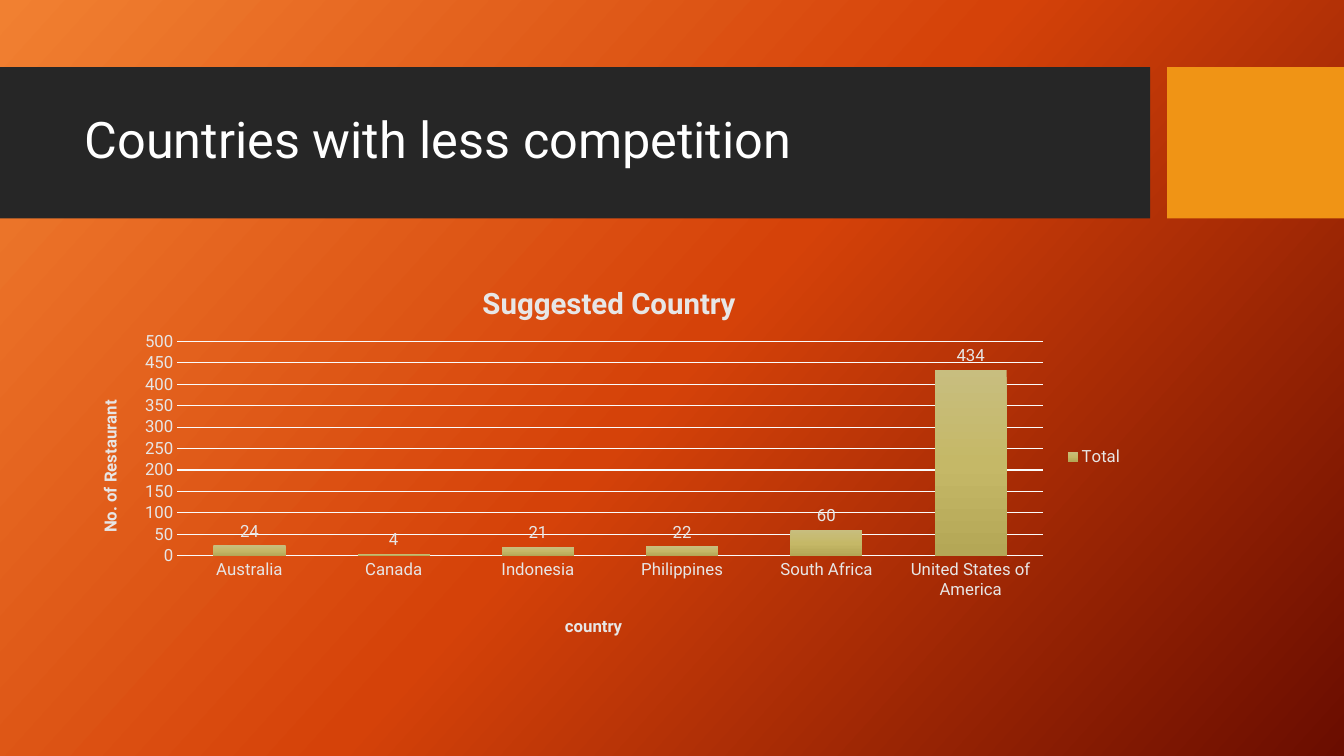
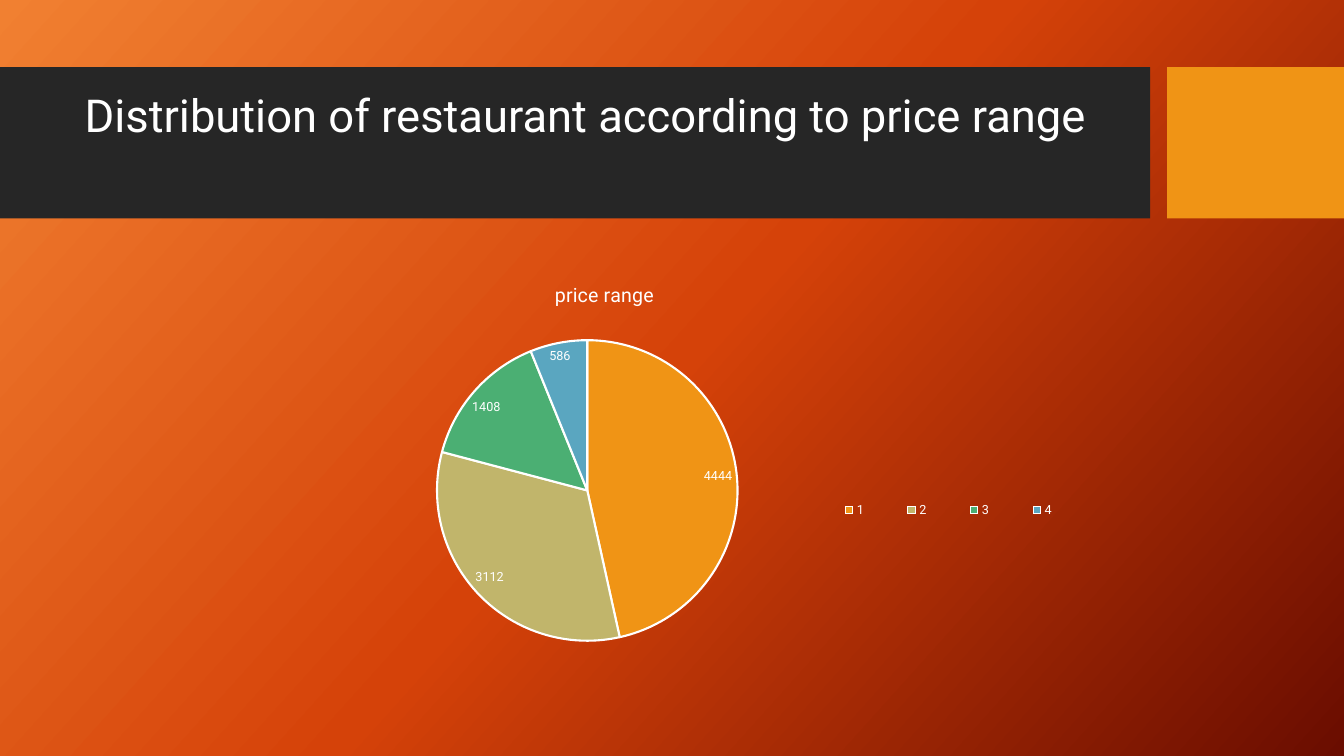
from dataclasses import dataclass

from lxml import etree
from pptx import Presentation
from pptx.chart.data import CategoryChartData
from pptx.dml.color import RGBColor
from pptx.enum import chart as charts, shapes, text
from pptx.oxml.ns import qn
from pptx.util import Pt


@dataclass(frozen=True)
class Theme:
    font: str = "Roboto"
    white: str = "FFFFFF"
    soft: str = "E7E6E6"
    grid: str = "FBFBFB"
    band: str = "262626"
    accent: str = "F09415"
    background: tuple = ((0, "F18031"), (50, "D54209"), (100, "6A0D00"))
    bars: tuple = ((0, "C8BE7F"), (50, "C5B867"), (100, "B4A756"))
    slices: tuple = ("F09415", "C1B56B", "4BAF73", "5AA6C0")
    title: float = 36
    long_title: float = 32.4
    column_heading: float = 21
    pie_heading: float = 14
    axis: float = 12
    base: float = 10
    small: float = 9


THEME = Theme()
SLIDE_WIDTH, SLIDE_HEIGHT = 960, 540
BAND_TOP, BAND_HEIGHT = 48, 108
BAND_WIDTH, ACCENT_LEFT = 821.5, 833.75
TITLE_BOX = (53.3, 59, 756.7, 85)
CHART_BOX = (53.3, 184.3, 756.7, 283.7)


def points(*values):
    return [Pt(value) for value in values]


def style_font(font, size, color=THEME.white, bold=False):
    font.name = THEME.font
    font.size = Pt(size)
    font.bold = bold
    font.color.rgb = RGBColor.from_string(color)


def fill_solid(fill, color):
    fill.solid()
    fill.fore_color.rgb = RGBColor.from_string(color)


def fill_gradient(fill, owner, stops, angle):
    """Fill with any number of stops; owner is the element that holds the fill."""
    fill.gradient()
    fill.gradient_angle = 360 - angle
    stop_list = owner.find(".//" + qn("a:gsLst"))
    for stop in list(stop_list):
        stop_list.remove(stop)
    for position, color in stops:
        stop = etree.SubElement(stop_list, qn("a:gs"), pos=str(position * 1000))
        etree.SubElement(stop, qn("a:srgbClr"), val=color)


def set_layout(parent, index, x, y, width=None, height=None, inner=False):
    """Place a chart part by fractions of the chart's width and height."""
    for old in parent.findall(qn("c:layout")):
        parent.remove(old)
    layout = etree.Element(qn("c:layout"))
    manual = etree.SubElement(layout, qn("c:manualLayout"))
    entries = [("xMode", "edge"), ("yMode", "edge"), ("x", x), ("y", y)]
    if inner:
        entries.insert(0, ("layoutTarget", "inner"))
    if width:
        entries += [("w", width), ("h", height)]
    for name, value in entries:
        etree.SubElement(manual, qn("c:" + name), val=str(value))
    parent.insert(index, layout)


def add_band(slide, left, width, color):
    band = slide.shapes.add_shape(
        shapes.MSO_SHAPE.RECTANGLE, *points(left, BAND_TOP, width, BAND_HEIGHT))
    band.shadow.inherit = False
    fill_solid(band.fill, color)
    band.line.fill.background()


def add_titled_slide(presentation, wording, size=THEME.title, raised=False):
    """Add a slide with its bands; a raised title stands in the upper half."""
    slide = presentation.slides.add_slide(presentation.slide_layouts[5])
    add_band(slide, 0, BAND_WIDTH, THEME.band)
    add_band(slide, ACCENT_LEFT, SLIDE_WIDTH - ACCENT_LEFT, THEME.accent)
    title = slide.shapes.title
    slide.shapes.element.append(title.element)
    title.left, title.top, title.width, title.height = points(*TITLE_BOX)
    frame = title.text_frame
    frame.word_wrap = True
    frame.auto_size = text.MSO_AUTO_SIZE.NONE
    frame.vertical_anchor = text.MSO_ANCHOR.MIDDLE
    if raised:
        frame.vertical_anchor = text.MSO_ANCHOR.TOP
        frame.margin_top = Pt(8)
    paragraph = frame.paragraphs[0]
    paragraph.alignment = text.PP_ALIGN.LEFT
    paragraph.line_spacing = 0.9
    run = paragraph.add_run()
    run.text = wording
    style_font(run.font, size)
    return slide


def add_chart(slide, kind, categories, name, values):
    data = CategoryChartData()
    data.categories = categories
    data.add_series(name, values)
    chart = slide.shapes.add_chart(kind, *points(*CHART_BOX), data).chart
    style_font(chart.font, THEME.base)
    return chart


def write_heading(heading, wording, size, color, bold, x, y):
    """Write and place the title of a chart or of an axis."""
    run = heading.text_frame.paragraphs[0].add_run()
    run.text = wording
    style_font(run.font, size, color, bold)
    set_layout(heading.element, 1, x, y)


def add_legend(chart, size, color):
    chart.has_legend = True
    chart.legend.position = charts.XL_LEGEND_POSITION.RIGHT
    chart.legend.include_in_layout = False
    style_font(chart.legend.font, size, color)


def label_values(plot, position, size, color):
    plot.has_data_labels = True
    labels = plot.data_labels
    labels.show_value = True
    labels.position = position
    style_font(labels.font, size, color)


def style_axis(axis, wording, x, y):
    axis.major_tick_mark = axis.minor_tick_mark = charts.XL_TICK_MARK.NONE
    style_font(axis.tick_labels.font, THEME.axis, THEME.soft)
    write_heading(axis.axis_title, wording, THEME.axis, THEME.soft, True, x, y)


def style_line(line, color, width):
    fill_solid(line.fill, color)
    line.width = Pt(width)


def plot_area(chart):
    return chart.element.find(".//" + qn("c:plotArea"))


def add_country_chart(slide):
    chart = add_chart(
        slide, charts.XL_CHART_TYPE.COLUMN_CLUSTERED,
        ("Australia", "Canada", "Indonesia", "Philippines", "South Africa",
         "United States of America"),
        "Total", (24, 4, 21, 22, 60, 434))
    write_heading(chart.chart_title, "Suggested Country",
                  THEME.column_heading, THEME.soft, True, 0.38, 0.05)
    set_layout(plot_area(chart), 0, 0.097, 0.21, 0.817, 0.54, inner=True)
    add_legend(chart, THEME.axis, THEME.soft)

    style_axis(chart.category_axis, "country", 0.46, 0.89)
    style_line(chart.category_axis.format.line, THEME.grid, 0.75)
    value_axis = chart.value_axis
    style_axis(value_axis, "No. of Restaurant", 0.02, 0.35)
    value_axis.minimum_scale, value_axis.maximum_scale = 0, 500
    value_axis.major_unit = 50
    value_axis.format.line.fill.background()
    style_line(value_axis.major_gridlines.format.line, THEME.grid, 0.75)

    plot = chart.plots[0]
    plot.vary_by_categories = False
    plot.gap_width, plot.overlap = 100, -24
    label_values(plot, charts.XL_LABEL_POSITION.OUTSIDE_END, THEME.axis, THEME.soft)
    series = plot.series[0]
    series.invert_if_negative = False
    fill_gradient(series.format.fill, plot_area(chart), THEME.bars, 90)


def add_price_chart(slide):
    chart = add_chart(slide, charts.XL_CHART_TYPE.PIE, ("1", "2", "3", "4"),
                      "Series 1", (4444, 3112, 1408, 586))
    write_heading(chart.chart_title, "price range",
                  THEME.pie_heading, THEME.white, False, 0.45, 0.05)
    set_layout(plot_area(chart), 0, 0.342, 0.207, 0.284, 0.757, inner=True)
    add_legend(chart, THEME.small, THEME.white)
    set_layout(chart.element.find(".//" + qn("c:legend")), 1, 0.69, 0.6, 0.27, 0.07)

    plot = chart.plots[0]
    plot.vary_by_categories = True
    label_values(plot, charts.XL_LABEL_POSITION.BEST_FIT, THEME.small, THEME.white)
    for index, color in enumerate(THEME.slices):
        pie_slice = plot.series[0].points[index].format
        fill_solid(pie_slice.fill, color)
        style_line(pie_slice.line, THEME.white, 1.5)


def main():
    presentation = Presentation()
    presentation.slide_width, presentation.slide_height = points(SLIDE_WIDTH, SLIDE_HEIGHT)
    master = presentation.slide_master
    fill_gradient(master.background.fill, master.element, THEME.background, 42)

    add_country_chart(add_titled_slide(presentation, "Countries with less competition"))
    add_price_chart(add_titled_slide(
        presentation, "Distribution of restaurant according to price range",
        THEME.long_title, raised=True))
    presentation.save("out.pptx")


if __name__ == "__main__":
    main()
